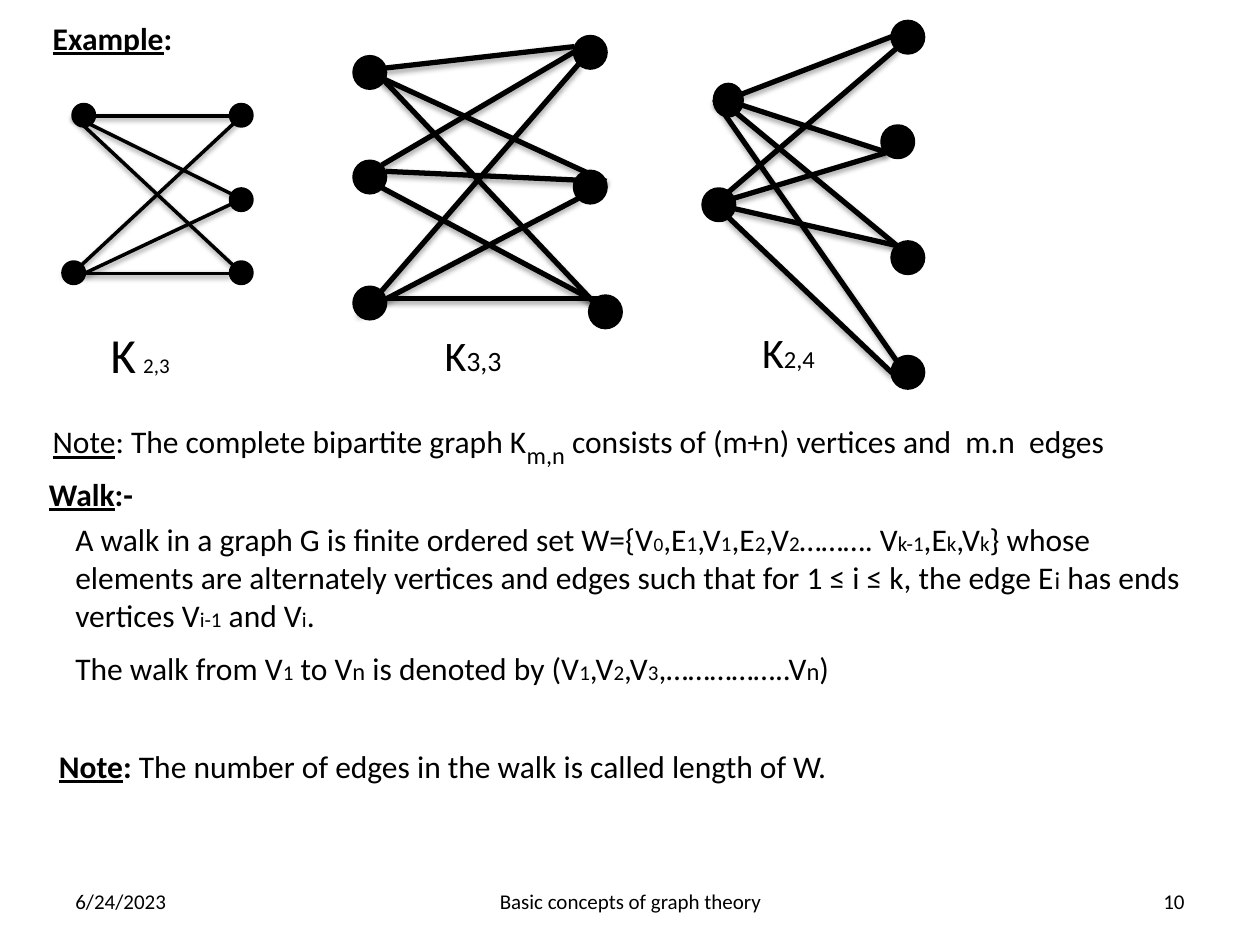
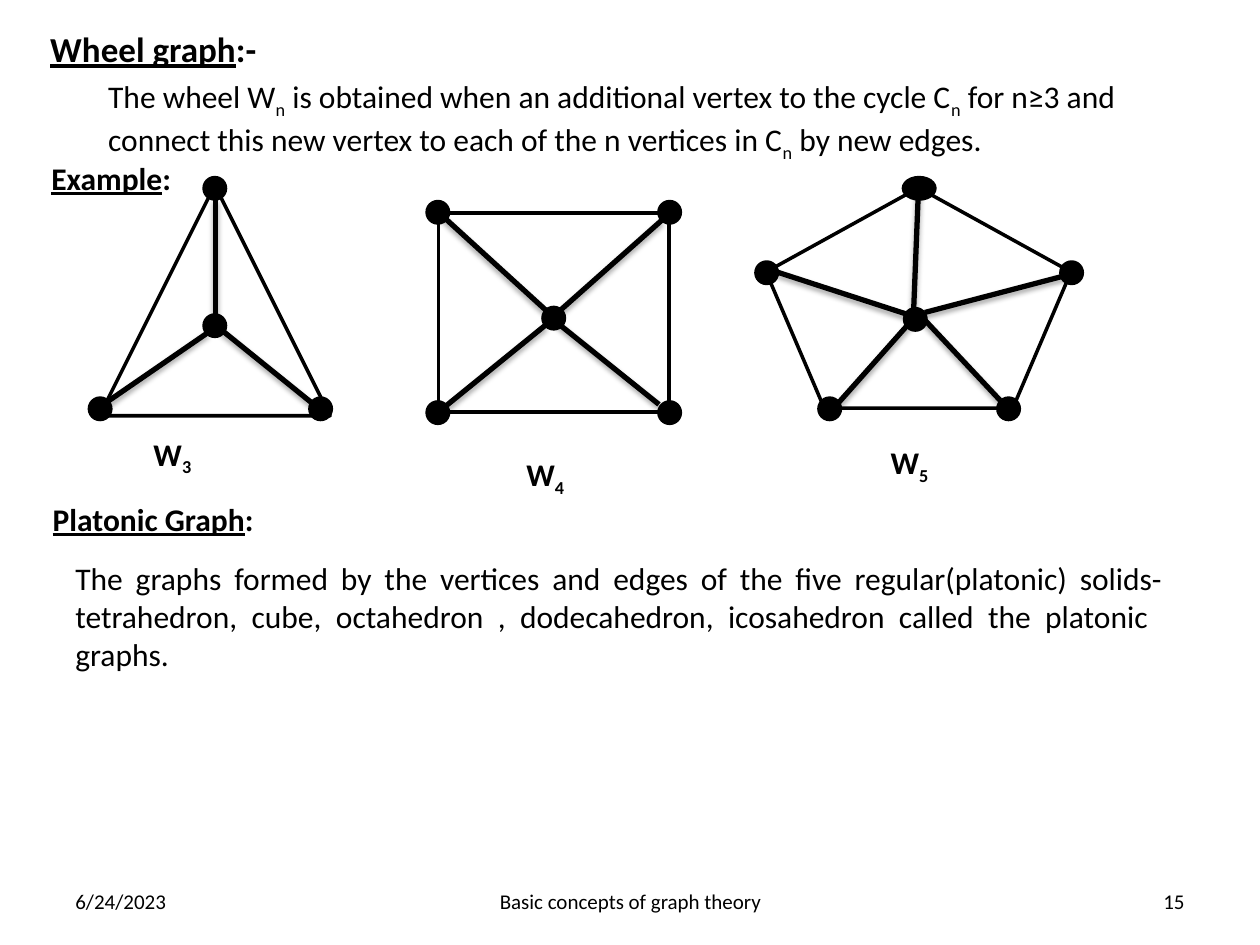
from lxml import etree
from pptx import Presentation
from pptx.dml.color import RGBColor
from pptx.enum.shapes import MSO_CONNECTOR, MSO_SHAPE
from pptx.enum.text import MSO_ANCHOR, MSO_AUTO_SIZE, PP_ALIGN
from pptx.oxml.ns import qn
from pptx.util import Pt

PX = 9144  # 100 px to the inch
BLACK = RGBColor(0x00, 0x00, 0x00)
WHITE = RGBColor(0xFF, 0xFF, 0xFF)
FONT = "Calibri"
DOT = MSO_SHAPE.FLOWCHART_CONNECTOR
TRIANGLE = MSO_SHAPE.ISOSCELES_TRIANGLE
RECT = MSO_SHAPE.RECTANGLE
PENTAGON = MSO_SHAPE.REGULAR_PENTAGON
STRAIGHT = MSO_CONNECTOR.STRAIGHT
LEFT, CENTER, RIGHT, JUSTIFY = (
    PP_ALIGN.LEFT, PP_ALIGN.CENTER, PP_ALIGN.RIGHT, PP_ALIGN.JUSTIFY)
TOP, MIDDLE = MSO_ANCHOR.TOP, MSO_ANCHOR.MIDDLE
GROW, FIXED = MSO_AUTO_SIZE.SHAPE_TO_FIT_TEXT, MSO_AUTO_SIZE.NONE

# Run formats
BOLD = {"bold": True}
HEAD = {"bold": True, "underline": True}
SUB = {"baseline": -25}
BOLD_SUB = {"bold": True, "baseline": -25}
S11, S12, S14, S16 = ({"size": n} for n in (11, 12, 14, 16))


def px(*lengths):
    return [n * PX for n in lengths]


# ---- Text ----
def add_text(s, box, runs, size=18, align=LEFT, anchor=TOP, wrap=True, fit=GROW):
    """Each run is a plain string or a (text, format) pair."""
    tf = s.shapes.add_textbox(*px(*box)).text_frame
    for name, value in {"word_wrap": wrap, "auto_size": fit,
                        "vertical_anchor": anchor}.items():
        setattr(tf, name, value)
    p = tf.paragraphs[0]
    p.alignment = align
    for run in runs:
        text, fmt = (run, {}) if isinstance(run, str) else run
        r = p.add_run()
        r.text = text
        r.font.color.rgb = BLACK
        for name, value in {"name": FONT, "size": size, **fmt}.items():
            if name == "baseline":
                r.font._element.set("baseline", str(value * 1000))
            else:
                setattr(r.font, name, Pt(value) if name == "size" else value)


def add_heading(s, box, title, mark=":", size=18, align=LEFT):
    add_text(s, box, [(title, HEAD), (mark, BOLD)], size, align, wrap=False)


def add_footer(s, number):
    for x, w, text, align in ((50, 233, "6/24/2023", LEFT),
                              (342, 317, "Basic concepts of graph theory", CENTER),
                              (717, 233, number, RIGHT)):
        add_text(s, (x, 695, w, 40), [text], 12, align, MIDDLE, fit=FIXED)


# ---- Graphs ----
def add_solid(shapes, kind, box, fill):
    sp = shapes.add_shape(kind, *px(*box))
    sp.shadow.inherit = False
    sp.fill.solid()
    sp.fill.fore_color.rgb = fill
    sp.line.color.rgb = BLACK
    sp.line.width = Pt(2)


def add_edge(shapes, ends, width):
    c = shapes.add_connector(STRAIGHT, *px(*ends))
    c.line.color.rgb = BLACK
    c.line.width = Pt(width)
    # Soft shadow straight below the edge
    distance, alpha = (1.8, 35) if width == 3 else (1.6, 38)
    effects = etree.SubElement(c._element.spPr, qn("a:effectLst"))
    shadow = etree.SubElement(
        effects, qn("a:outerShdw"), blurRad=str(Pt(3.1)), dist=str(Pt(distance)),
        dir="5400000", rotWithShape="0")
    color = etree.SubElement(shadow, qn("a:srgbClr"), val=str(BLACK))
    etree.SubElement(color, qn("a:alpha"), val=str(alpha * 1000))


def add_graph(s, origin, dot, vertices, edges, width=3, outline=None):
    """Vertices are (left, top[, width]); all places are relative to origin."""
    x0, y0 = origin
    shapes = s.shapes.add_group_shape().shapes
    if outline:
        kind, x, y, w, h = outline
        add_solid(shapes, kind, (x0 + x, y0 + y, w, h), WHITE)
    for xa, ya, xb, yb in edges:
        add_edge(shapes, (x0 + xa, y0 + ya, x0 + xb, y0 + yb), width)
    for x, y, *w in vertices:
        add_solid(shapes, DOT, (x0 + x, y0 + y, w[0] if w else dot, dot), BLACK)


# ---- Slides ----
def bipartite_slide(prs):
    s = prs.slides.add_slide(prs.slide_layouts[6])
    add_heading(s, (32, 10, 116, 40), "Example")

    # K 2,3
    add_graph(s, (50, 83), 17,
              [(8, 0), (0, 125), (133, 0), (133, 67), (133, 125)],
              [(8, 9, 142, 9), (142, 75, 8, 9), (142, 134, 8, 9),
               (14, 128, 142, 9), (17, 134, 142, 75), (0, 134, 133, 134)], width=2)
    add_text(s, (78, 253, 133, 57), ["K", (" ", {"size": 18}), ("2,3", S12)], 28)

    # K 3,3
    add_graph(s, (281, 29), 25,
              [(0, 16), (0, 99), (0, 199), (175, 0), (175, 107), (187, 206)],
              [(25, 25, 175, 8), (22, 33, 200, 115), (22, 33, 197, 218),
               (22, 102, 175, 12), (25, 107, 200, 115), (22, 120, 191, 210),
               (21, 203, 179, 21), (3, 220, 179, 128), (4, 208, 204, 208)])
    add_text(s, (343, 257, 120, 50), ["K", ("3,3", S16)], 24)

    # K 2,4
    add_graph(s, (558, 17), 25,
              [(9, 50, 22), (0, 133), (150, 0), (142, 83), (150, 175), (150, 266)],
              [(9, 66, 150, 12), (11, 60, 146, 104), (11, 60, 154, 178),
               (9, 62, 154, 270), (9, 145, 154, 21), (9, 145, 146, 104),
               (9, 145, 154, 178), (9, 145, 150, 279)])
    add_text(s, (595, 254, 104, 50), ["K", ("2,4", S14)], 24)

    add_text(s, (32, 322, 906, 40), [
        ("Note", {"underline": True}), ": The complete bipartite graph K",
        ("m,n", {"size": 24, **SUB}),
        " consists of (m+n) vertices and  m.n  edges"])

    # Walk
    add_heading(s, (29, 372, 93, 40), "Walk", ":-")
    add_text(s, (50, 408, 900, 101), [
        "A walk in a graph G is finite ordered set W={V", ("0", S11),
        ",E", ("1", S12), ",V", ("1", S12), ",E", ("2", S12), ",V", ("2", S12),
        "………. V", ("k-1", S12), ",E", ("k", S12), ",V", ("k", S12),
        "} whose elements are alternately vertices and edges such that "
        "for 1 ≤ i ≤ k, the edge E", ("i", S14), " has ends vertices V",
        ("i-1", S12), " and V", ("i", S12), "."])
    add_text(s, (50, 510, 696, 40), [
        "The walk from V", ("1", S12), " to V", ("n", S14), " is denoted by (V",
        ("1", S12), ",V", ("2", S12), ",V", ("3", S12), ",……………..V",
        ("n", S14), ")"])
    add_text(s, (37, 588, 690, 40), [
        ("Note", HEAD), (": ", BOLD),
        "The number of edges in the walk is called length of W."])
    add_footer(s, "10")


def wheel_slide(prs):
    s = prs.slides.add_slide(prs.slide_layouts[6])
    add_heading(s, (30, 17, 185, 44), "Wheel graph", ":-", 20)
    add_text(s, (76, 56, 899, 71), [
        "The wheel W", ("n", SUB),
        " is obtained when an additional vertex to the cycle C", ("n", SUB),
        " for n≥3 and connect this new vertex to each of the n vertices in C",
        ("n", SUB), " by new edges."])

    # Wheels: rim outline, spokes and vertices
    add_graph(s, (71, 141), 17,
              [(91, 0), (175, 175), (0, 175), (91, 109)],
              [(100, 17, 100, 109), (14, 178, 94, 123), (100, 117, 183, 184)],
              outline=(TRIANGLE, 8, 6, 183, 183))
    add_graph(s, (339, 160), 17,
              [(0, 0), (184, 0), (0, 159), (184, 159), (92, 84)],
              [(3, 3, 94, 86), (106, 86, 186, 15), (98, 92, 184, 161),
               (9, 167, 94, 98)],
              outline=(RECT, 9, 9, 183, 158))
    add_graph(s, (600, 141), 17,
              [(117, 0, 25), (0, 67), (242, 67), (50, 175), (192, 175), (118, 104)],
              [(129, 8, 125, 108), (17, 75, 134, 113), (134, 107, 256, 75),
               (131, 105, 59, 186), (134, 113, 194, 177)],
              outline=(PENTAGON, 8, 8, 242, 175))
    for n, x, y, w in (("3", 112, 340, 100), ("4", 408, 356, 92), ("5", 697, 347, 67)):
        add_text(s, (x, y, w, 40), [("W", BOLD), (n, BOLD_SUB)])
    add_heading(s, (31, 121, 116, 40), "Example")

    # Platonic graphs
    add_heading(s, (32, 392, 181, 40), "Platonic Graph", align=JUSTIFY)
    add_text(s, (50, 439, 883, 101), [
        "The graphs formed by the vertices and edges of the five "
        "regular(platonic) solids-tetrahedron, cube, octahedron , dodecahedron, "
        "icosahedron called the platonic  graphs."], align=JUSTIFY)
    add_footer(s, "15")


def main():
    prs = Presentation()
    prs.slide_width, prs.slide_height = px(1000, 750)
    bipartite_slide(prs)
    wheel_slide(prs)
    prs.save("out.pptx")


if __name__ == "__main__":
    main()
